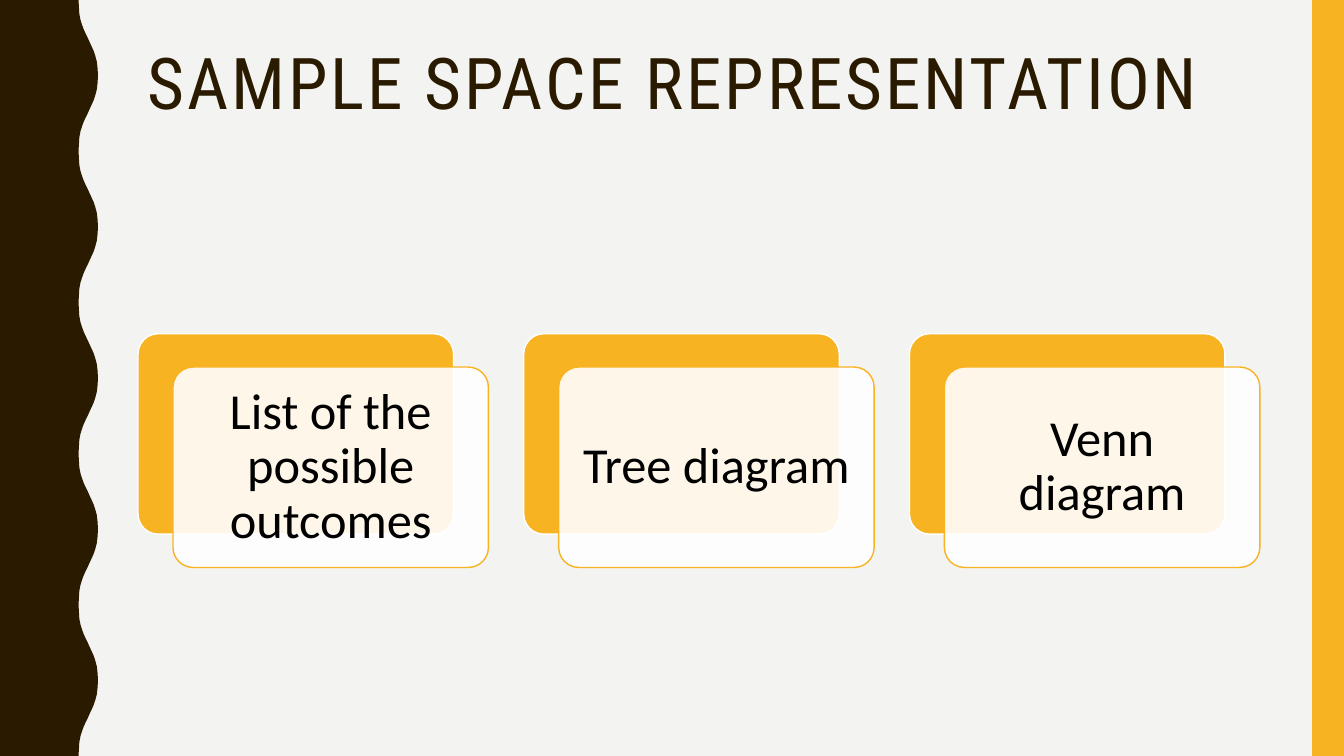
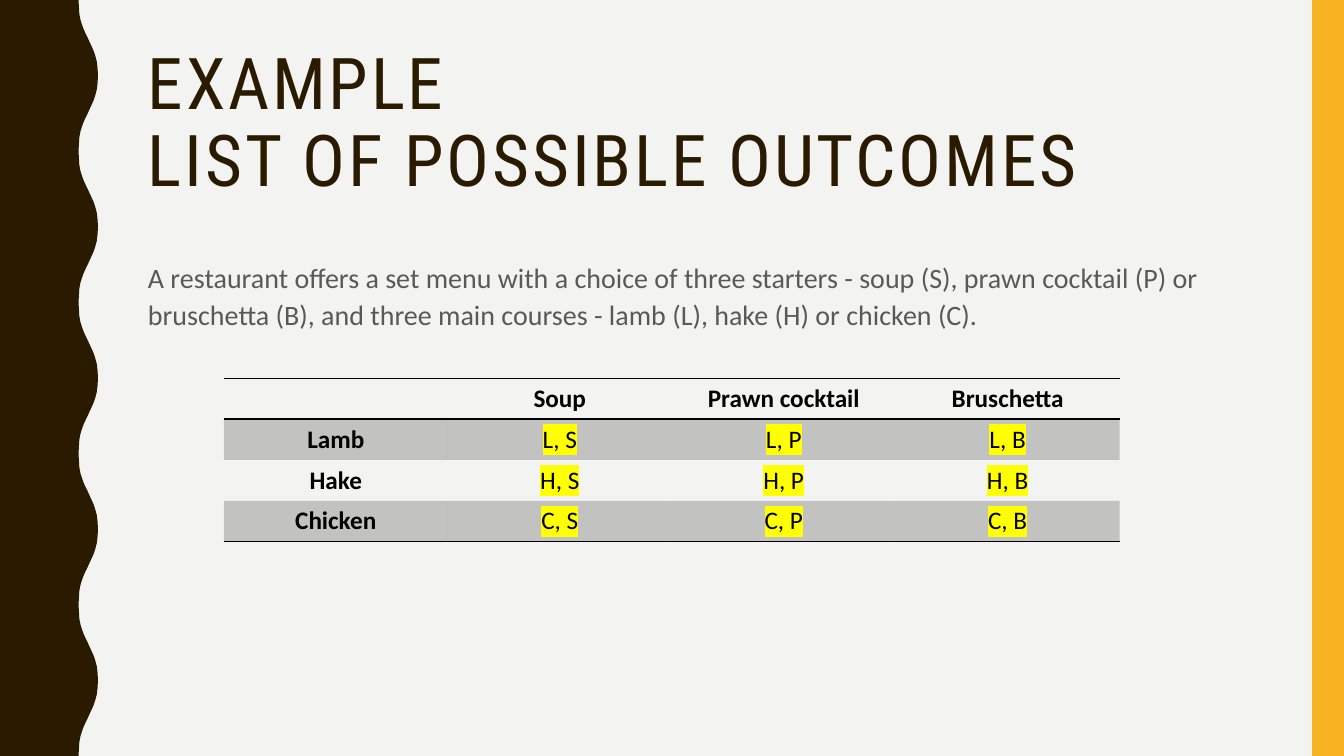
from lxml import etree
from pptx import Presentation
from pptx.dml.color import RGBColor
from pptx.enum.shapes import MSO_SHAPE as SHAPE
from pptx.enum.text import MSO_ANCHOR as ANCHOR, PP_ALIGN as ALIGN
from pptx.oxml.ns import qn
from pptx.util import Cm, Pt

BROWN = RGBColor(0x2A, 0x1A, 0x00)
AMBER = RGBColor(0xF8, 0xB3, 0x23)
PAPER = RGBColor(0xF3, 0xF3, 0xF2)
GREY = RGBColor(0x59, 0x59, 0x59)
WHITE = RGBColor(0xFF, 0xFF, 0xFF)
BLACK = RGBColor(0x00, 0x00, 0x00)
YELLOW = RGBColor(0xFF, 0xFF, 0x00)

WIDTH, HEIGHT = 33.87, 19.05
LEFT, TEXT_WIDTH = 3.48, 28.27
HALF_WAVE = HEIGHT / 10
WAVE = [(1.98, 0), (1.99, 0.18), (2, 0.35), (2.03, 0.5), (2.07, 0.63),
        (2.11, 0.74), (2.16, 0.85), (2.21, 0.95), (2.26, 1.06), (2.31, 1.17),
        (2.36, 1.28), (2.4, 1.4), (2.44, 1.55), (2.46, 1.72), (2.47, HALF_WAVE)]

TITLE = {"size": Pt(51), "name": "Roboto Condensed"}
CARD = {"size": Pt(36), "name": "Calibri"}
BODY = {"size": Pt(20), "name": "Calibri"}
CELL = {"size": Pt(18), "name": "Calibri"}
CARD_FRAME = {"word_wrap": True, "vertical_anchor": ANCHOR.MIDDLE,
              "margin_left": Cm(0.38), "margin_right": Cm(0.38),
              "margin_top": Cm(0.38), "margin_bottom": Cm(0.38)}


def write(p, text, fmt, color, spacing=1.0, align=ALIGN.LEFT):
    p.text = text
    p.line_spacing = spacing
    p.alignment = align
    for r in p.runs:
        for key, value in fmt.items():
            setattr(r.font, key, value)
        r.font.color.rgb = color


def paint(fill, color, alpha=100):
    fill.solid()
    fill.fore_color.rgb = color
    if alpha < 100:
        clr = fill._xPr.find(qn("a:solidFill"))[0]
        etree.SubElement(clr, qn("a:alpha"), val=str(alpha * 1000))


prs = Presentation()
prs.slide_width, prs.slide_height = Cm(WIDTH), Cm(HEIGHT)
paint(prs.slide_master.background.fill, PAPER)

edge = []
for i in range(10):
    if i % 2 == 0:
        edge += [(x, i * HALF_WAVE + y) for x, y in WAVE]
    else:
        edge += [(x, (i + 1) * HALF_WAVE - y) for x, y in reversed(WAVE)]

slides = []
for title in ["SAMPLE SPACE REPRESENTATION", "EXAMPLE\nLIST OF POSSIBLE OUTCOMES"]:
    s = prs.slides.add_slide(prs.slide_layouts[6])
    slides.append(s)
    outline = s.shapes.build_freeform(0, 0)
    outline.add_line_segments([(Cm(x), Cm(y)) for x, y in edge + [(0, HEIGHT)]])
    wave = outline.convert_to_shape()
    band = s.shapes.add_shape(SHAPE.RECTANGLE, Cm(33.07), 0, Cm(0.8), Cm(HEIGHT))
    for sp, color in [(wave, BROWN), (band, AMBER)]:
        sp.shadow.inherit = False
        sp.line.fill.background()
        paint(sp.fill, color)
    tf = s.shapes.add_textbox(Cm(LEFT), Cm(1.07), Cm(TEXT_WIDTH), Cm(4.14)).text_frame
    tf.word_wrap = True
    write(tf.paragraphs[0], title, TITLE, BROWN, 0.9)
    for r in tf.paragraphs[0].runs:
        r.font._rPr.set("spc", "200")

s = slides[0]
for i, text in enumerate(["List of the possible outcomes", "Tree diagram", "Venn diagram"]):
    x = LEFT + i * 9.72
    back = s.shapes.add_shape(SHAPE.ROUNDED_RECTANGLE, Cm(x), Cm(8.41), Cm(7.95), Cm(5.05))
    front = s.shapes.add_shape(SHAPE.ROUNDED_RECTANGLE, Cm(x + 0.88), Cm(9.25), Cm(7.95), Cm(5.05))
    for sp, color, alpha, border in [(back, AMBER, 100, WHITE), (front, WHITE, 90, AMBER)]:
        sp.shadow.inherit = False
        sp.adjustments[0] = 0.1
        paint(sp.fill, color, alpha)
        sp.line.color.rgb = border
        sp.line.width = Pt(1)
    tf = front.text_frame
    for key, value in CARD_FRAME.items():
        setattr(tf, key, value)
    write(tf.paragraphs[0], text, CARD, BLACK, 0.9, ALIGN.CENTER)

s = slides[1]
tf = s.shapes.add_textbox(Cm(LEFT), Cm(6.35), Cm(TEXT_WIDTH), Cm(2.5)).text_frame
tf.word_wrap = True
write(tf.paragraphs[0],
      "A restaurant offers a set menu with a choice of three starters - soup (S), "
      "prawn cocktail (P) or bruschetta (B), and three main courses - lamb (L), "
      "hake (H) or chicken (C).", BODY, GREY, 1.1)

starters = ["Soup", "Prawn cocktail", "Bruschetta"]
mains = ["Lamb", "Hake", "Chicken"]
rows = [[""] + starters]
rows += [[main] + [f"{main[0]}, {starter[0]}" for starter in starters] for main in mains]
table = s.shapes.add_table(4, 4, Cm(5.64), Cm(9.53), Cm(22.58), Cm(4.12)).table
table.first_row = table.horz_banding = False
table._tbl.tblPr.find(qn("a:tableStyleId")).text = "{2D5ABB26-0587-4C30-8999-92F81FD0307C}"
borders = {0: ["a:lnT", "a:lnB"], 3: ["a:lnB"]}

for i, row in enumerate(rows):
    for j, text in enumerate(row):
        cell = table.cell(i, j)
        cell.vertical_anchor = ANCHOR.MIDDLE
        tcPr = cell._tc.get_or_add_tcPr()
        for tag in borders.get(i, []):
            ln = etree.SubElement(tcPr, qn(tag), w=str(Pt(1)))
            etree.SubElement(etree.SubElement(ln, qn("a:solidFill")), qn("a:srgbClr"), val=str(BLACK))
        if i % 2:
            paint(cell.fill, BLACK, 20)
        else:
            cell.fill.background()
        p = cell.text_frame.paragraphs[0]
        heading = i == 0 or j == 0
        write(p, text, {**CELL, "bold": heading}, BLACK, align=ALIGN.CENTER)
        if not heading:
            mark = etree.Element(qn("a:highlight"))
            etree.SubElement(mark, qn("a:srgbClr"), val=str(YELLOW))
            p.runs[0].font._rPr.find(qn("a:solidFill")).addnext(mark)

prs.save("out.pptx")
